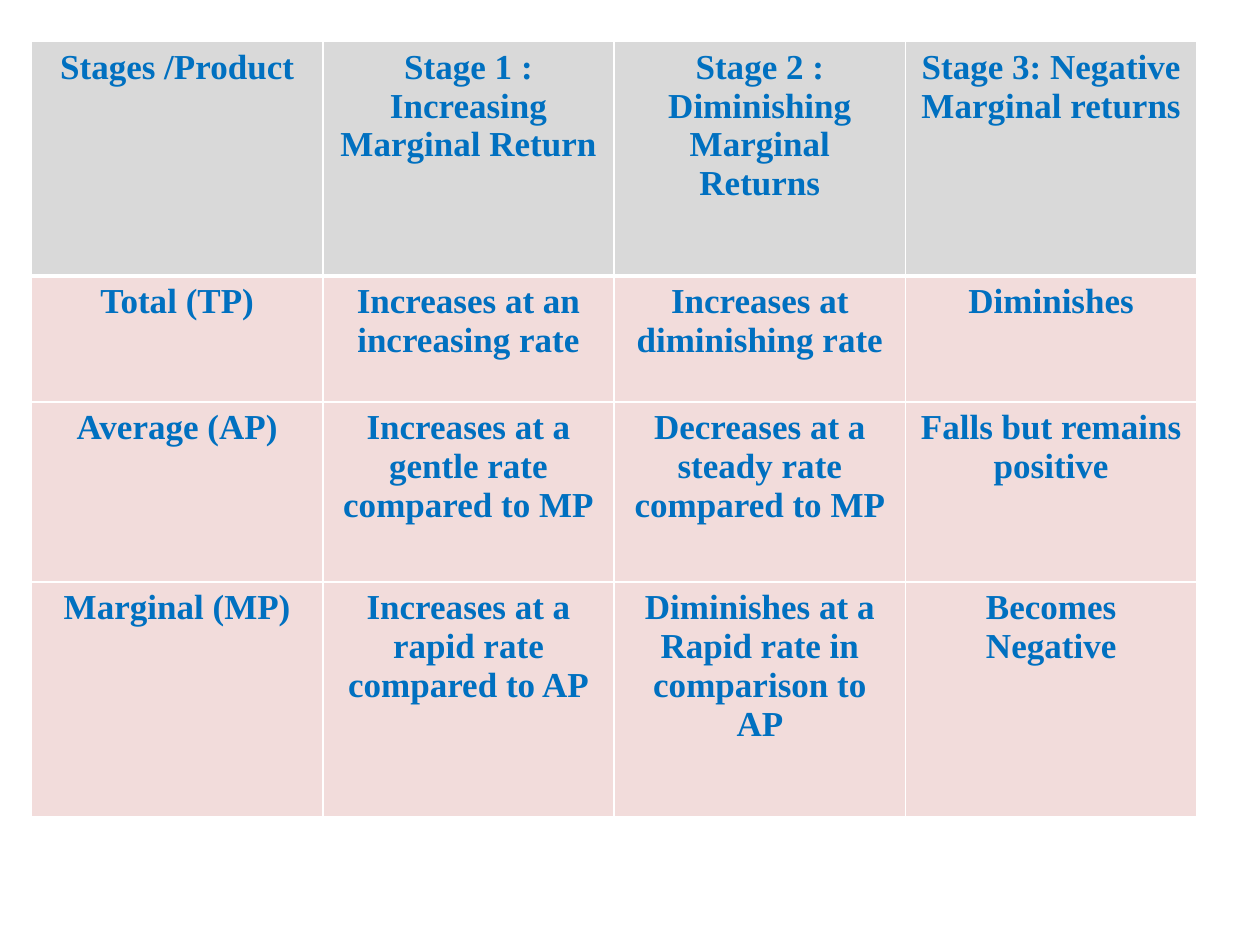
from lxml import etree
from pptx import Presentation
from pptx import util as u
from pptx.dml.color import RGBColor
from pptx.enum import text
from pptx.oxml import ns

ROWS = [
    ("Stages /Product", "Stage 1 : Increasing Marginal Return",
     "Stage 2 : Diminishing Marginal Returns", "Stage 3: Negative Marginal returns"),
    ("Total (TP)", "Increases at an increasing rate",
     "Increases at diminishing rate", "Diminishes"),
    ("Average (AP)", "Increases at a gentle rate compared to MP",
     "Decreases at a steady rate compared to MP", "Falls but remains positive"),
    ("Marginal (MP)", "Increases at a rapid rate compared to AP",
     "Diminishes at a Rapid rate in comparison to AP", "Becomes Negative"),
]
ROW_HEIGHTS = [1.86, 1, 1.43, 1.86]
LEFT, TOP, WIDTH = 0.25, 0.33, 9.25
COLORS = {"header": "D9D9D9", "body": "F2DCDB", "text": "0070C0", "border": "FFFFFF"}
FONT = {"name": "Times New Roman", "size": u.Pt(20), "bold": True}


def add_borders(cell, widths):
    properties = cell._tc.get_or_add_tcPr()
    for side, points in widths.items():
        line = etree.SubElement(properties, ns.qn(f"a:ln{side}"), w=str(u.Pt(points)))
        fill = etree.SubElement(line, ns.qn("a:solidFill"))
        etree.SubElement(fill, ns.qn("a:srgbClr"), val=COLORS["border"])


def format_cell(cell, words, row):
    add_borders(cell, {"L": 1, "R": 1, "T": 3 if row == 1 else 1, "B": 3 if row == 0 else 1})
    cell.fill.solid()
    cell.fill.fore_color.rgb = RGBColor.from_string(COLORS["body" if row else "header"])
    para = cell.text_frame.paragraphs[0]
    para.alignment = text.PP_ALIGN.CENTER
    span = para.add_run()
    span.text = words
    for name, value in FONT.items():
        setattr(span.font, name, value)
    span.font.color.rgb = RGBColor.from_string(COLORS["text"])


def main():
    """Build the slide comparing product behaviour across the three stages."""
    deck = Presentation()
    deck.slide_width, deck.slide_height = u.Inches(10), u.Inches(7.5)
    page = deck.slides.add_slide(deck.slide_layouts[6])
    stages = page.shapes.add_table(
        len(ROWS), len(ROWS[0]), u.Inches(LEFT), u.Inches(TOP),
        u.Inches(WIDTH), u.Inches(sum(ROW_HEIGHTS))).table
    for row, (height, entries) in enumerate(zip(ROW_HEIGHTS, ROWS)):
        stages.rows[row].height = u.Inches(height)
        for column, words in enumerate(entries):
            format_cell(stages.cell(row, column), words, row)
    deck.save("out.pptx")


if __name__ == "__main__":
    main()
